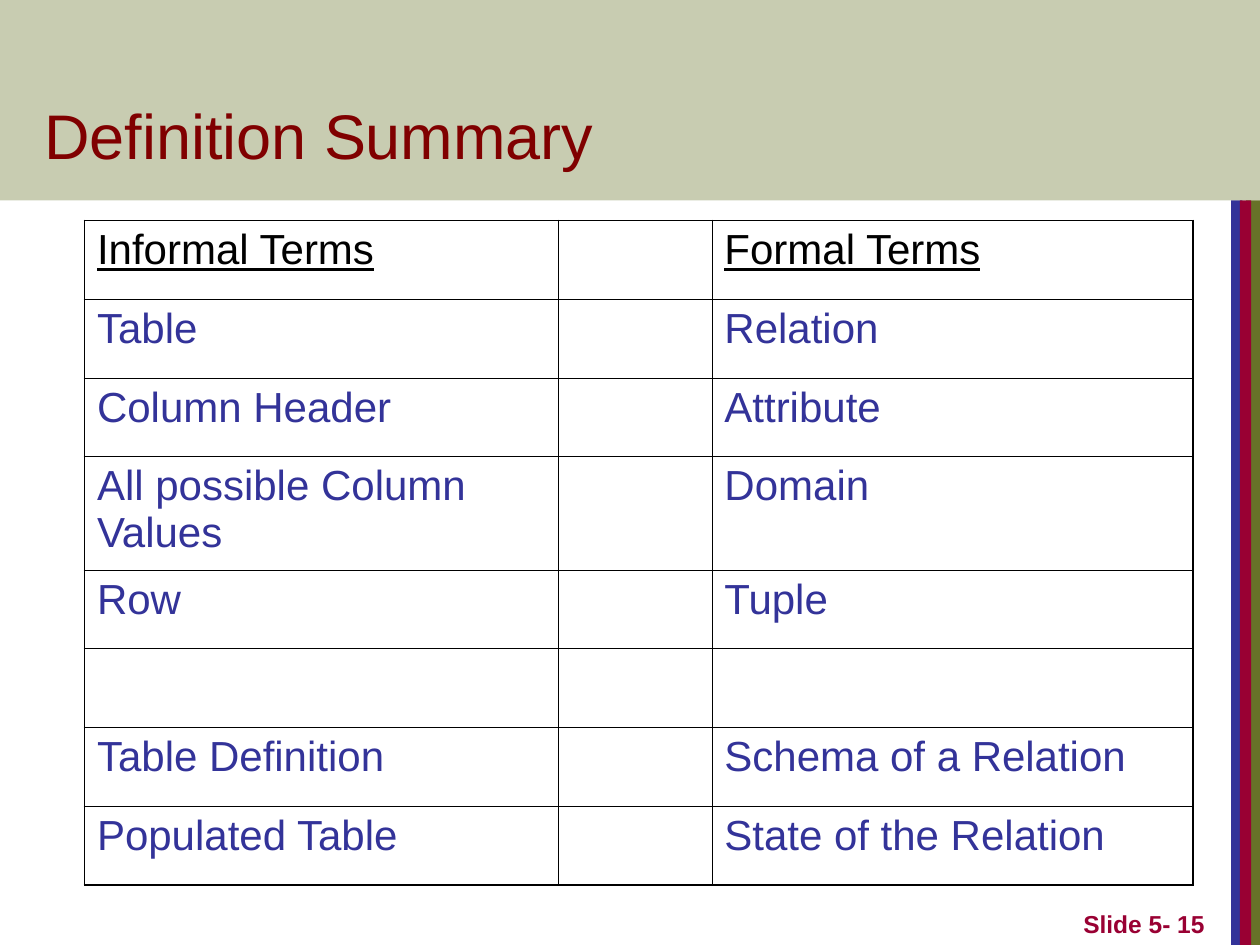
import dataclasses

import lxml.etree
import pptx
import pptx.dml.color
import pptx.enum.shapes
import pptx.enum.text
import pptx.oxml.ns
import pptx.util

Inches = pptx.util.Inches
Pt = pptx.util.Pt
qn = pptx.oxml.ns.qn
ALIGN = pptx.enum.text.PP_ALIGN
ANCHOR = pptx.enum.text.MSO_ANCHOR


@dataclasses.dataclass(frozen=True)
class Theme:
    font: str = "Arial"
    olive: str = "677228"
    blue: str = "333399"
    wine: str = "990033"
    maroon: str = "800000"
    black: str = "000000"
    title: float = 36
    term: float = 24
    foot: float = 14
    thin: float = 0.45
    thick: float = 1.08


class Page:
    def __init__(self, deck, theme):
        self.theme = theme
        self.slide = deck.slides.add_slide(deck.slide_layouts[5])

    def add_text(self, para, text, size, color, bold=False, under=False, align=ALIGN.LEFT):
        para.alignment = align
        run = para.add_run()
        run.text = text
        font = run.font
        font.name, font.size = self.theme.font, Pt(size)
        font.bold, font.underline = bold, under
        font.color.rgb = pptx.dml.color.RGBColor.from_string(color)

    def block(self, left, top, width, height, color, alpha=None):
        shape = self.slide.shapes.add_shape(
            pptx.enum.shapes.MSO_SHAPE.RECTANGLE,
            Inches(left), Inches(top), Inches(width), Inches(height))
        shape.shadow.inherit = False
        shape.line.fill.background()
        shape.fill.solid()
        shape.fill.fore_color.rgb = pptx.dml.color.RGBColor.from_string(color)
        if alpha is not None:
            tint = shape._element.spPr.find(".//" + qn("a:srgbClr"))
            lxml.etree.SubElement(tint, qn("a:alpha"), val=str(alpha * 1000))

    def title(self, text, left, top, width, height):
        shape = self.slide.shapes.title
        shape.left, shape.top = Inches(left), Inches(top)
        shape.width, shape.height = Inches(width), Inches(height)
        # Bring the title in front of the band
        self.slide.shapes._spTree.append(shape._element)
        frame = shape.text_frame
        frame.auto_size = pptx.enum.text.MSO_AUTO_SIZE.NONE
        frame.vertical_anchor = ANCHOR.BOTTOM
        self.add_text(frame.paragraphs[0], text, self.theme.title, self.theme.maroon)

    def label(self, text, left, top, width, height):
        box = self.slide.shapes.add_textbox(
            Inches(left), Inches(top), Inches(width), Inches(height))
        frame = box.text_frame
        frame.word_wrap = True
        frame.vertical_anchor = ANCHOR.BOTTOM
        self.add_text(frame.paragraphs[0], text, self.theme.foot, self.theme.wine,
                      bold=True, align=ALIGN.RIGHT)

    def edge(self, cell, side, width):
        line = lxml.etree.SubElement(
            cell._tc.get_or_add_tcPr(), qn("a:ln" + side), w=str(int(Pt(width))))
        fill = lxml.etree.SubElement(line, qn("a:solidFill"))
        lxml.etree.SubElement(fill, qn("a:srgbClr"), val=self.theme.black)

    def table(self, rows, left, top, widths, heights):
        theme = self.theme
        frame = self.slide.shapes.add_table(
            len(rows), len(widths), Inches(left), Inches(top),
            Inches(sum(widths)), Inches(sum(heights)))
        grid = frame.table
        grid.first_row = grid.horz_banding = False
        for col, width in zip(grid.columns, widths):
            col.width = Inches(width)
        for row, height in zip(grid.rows, heights):
            row.height = Inches(height)
        for r, texts in enumerate(rows):
            for c, text in enumerate(texts):
                cell = grid.cell(r, c)
                # Thick lines on the outer frame, thin ones inside
                outer = {"L": c == 0, "R": c == len(widths) - 1,
                         "T": r == 0, "B": r == len(rows) - 1}
                for side, edge in outer.items():
                    self.edge(cell, side, theme.thick if edge else theme.thin)
                cell.fill.background()
                if text:
                    head = r == 0
                    self.add_text(cell.text_frame.paragraphs[0], text, theme.term,
                                  theme.black if head else theme.blue, under=head)


TERMS = [
    ("Informal Terms", "", "Formal Terms"),
    ("Table", "", "Relation"),
    ("Column Header", "", "Attribute"),
    ("All possible Column Values", "", "Domain"),
    ("Row", "", "Tuple"),
    ("", "", ""),
    ("Table Definition", "", "Schema of a Relation"),
    ("Populated Table", "", "State of the Relation"),
]


def main():
    deck = pptx.Presentation()
    deck.slide_width, deck.slide_height = Inches(10), Inches(7.5)
    theme = Theme()
    page = Page(deck, theme)

    # Side stripes and top band
    band = 1.59
    for left, width, color in ((9.89, 0.11, theme.olive),
                               (9.77, 0.09, theme.blue),
                               (9.84, 0.09, theme.wine)):
        page.block(left, band, width, 7.5 - band, color)
    page.block(0, 0, 10, band, theme.olive, alpha=36)

    # Slide number and title
    page.label("Slide 5- 15", 7.58, 7, 2.08, 0.5)
    page.title("Definition Summary", 0.25, 0.33, 8.53, 1.09)

    # Table of terms, with one taller row for the wrapped text
    heights = [0.9 if len(row[0]) > 20 else 0.625 for row in TERMS]
    page.table(TERMS, 0.67, 1.75, (3.76, 1.22, 3.82), heights)

    deck.save("out.pptx")


if __name__ == "__main__":
    main()
